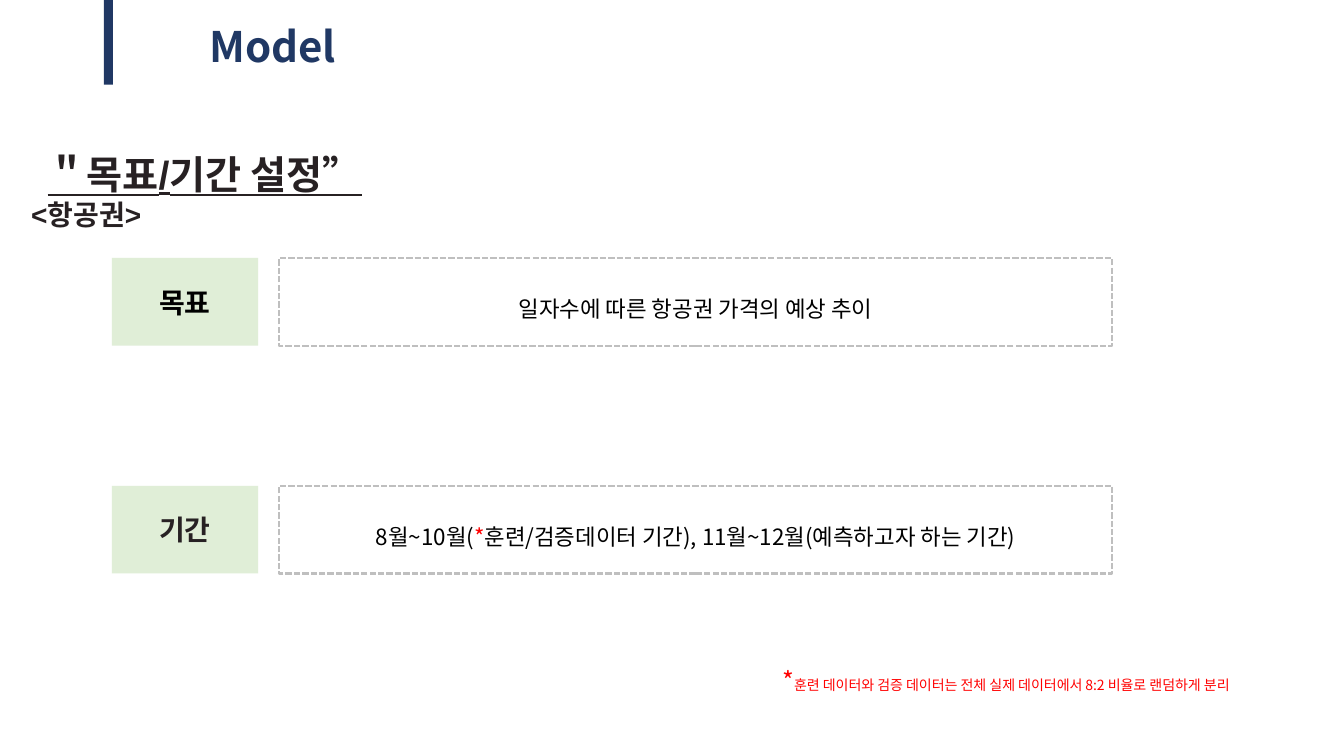
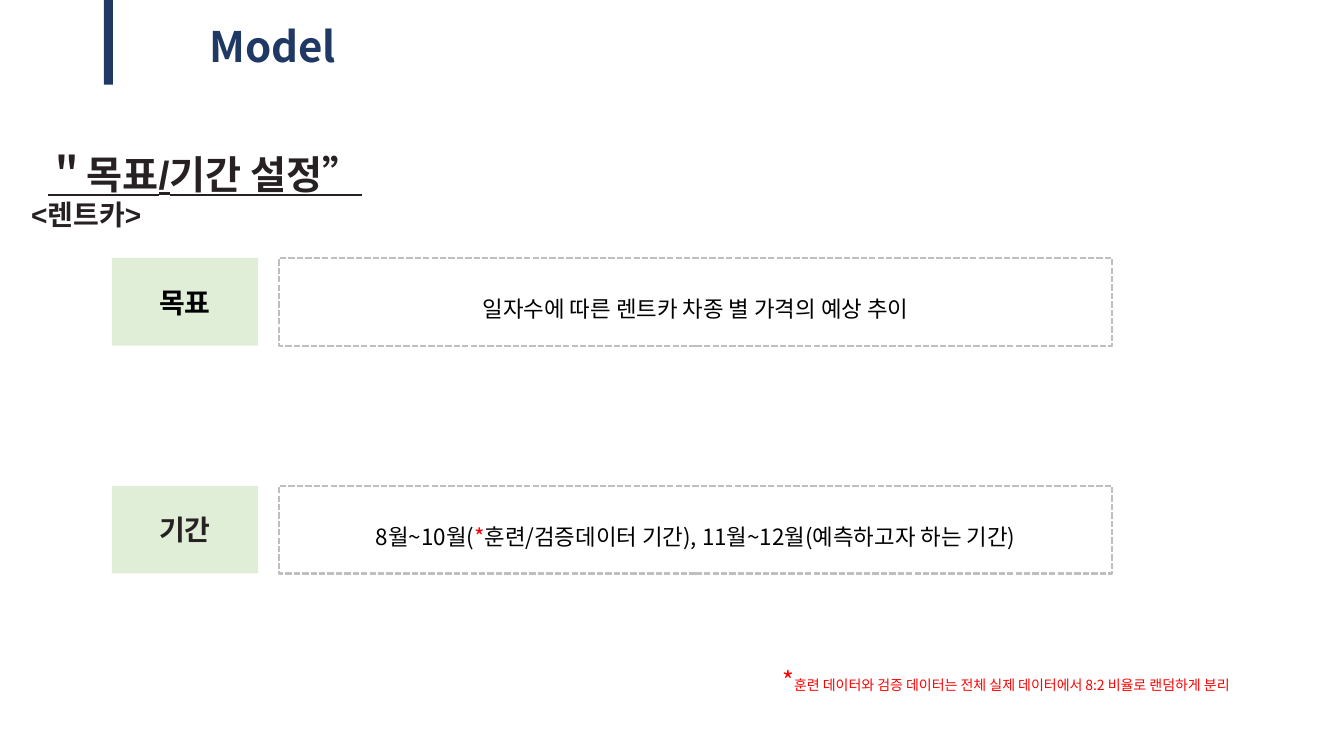
from lxml import etree
from pptx import Presentation
from pptx.dml.color import RGBColor
from pptx.enum.dml import MSO_LINE
from pptx.enum.shapes import MSO_SHAPE
from pptx.enum.text import MSO_ANCHOR, MSO_AUTO_SIZE, PP_ALIGN
from pptx.oxml import parse_xml
from pptx.oxml.ns import nsdecls, qn
from pptx.util import Inches, Pt

RECTANGLE = MSO_SHAPE.RECTANGLE
SHORT_DASH = MSO_LINE.SQUARE_DOT
MIDDLE = MSO_ANCHOR.MIDDLE
GROW = MSO_AUTO_SIZE.SHAPE_TO_FIT_TEXT
LEFT, CENTER = PP_ALIGN.LEFT, PP_ALIGN.CENTER

NAVY = RGBColor(0x20, 0x38, 0x64)
GREEN = RGBColor(0xC5, 0xE0, 0xB4)
GRAY = RGBColor(0xBF, 0xBF, 0xBF)
CHARCOAL = RGBColor(0x27, 0x21, 0x23)
BLACK = RGBColor(0, 0, 0)
RED = RGBColor(0xFF, 0, 0)
KOREAN_FONT = "Noto Sans CJK KR"
HEADING_FONT = "Arial"

ROW_TOPS = (2.56, 4.82)
ROW_HEIGHT = 0.87
PERIOD = (
    ("8월~10월(", BLACK),
    ("*", RED),
    ("훈련/검증데이터 기간), 11월~12월(예측하고자 하는 기간)", BLACK),
)
FOOTNOTE = "훈련 데이터와 검증 데이터는 전체 실제 데이터에서 8:2 비율로 랜덤하게 분리"
TOPICS = (
    ("항공권", "일자수에 따른 항공권 가격의 예상 추이"),
    ("렌트카", "일자수에 따른 렌트카 차종 별 가격의 예상 추이"),
)


def add_span(para, text, size, color, font=KOREAN_FONT, bold=False, underline=False):
    span = para.add_run()
    span.text = text
    span.font.size = Pt(size)
    span.font.bold = bold
    span.font.underline = underline
    span.font.color.rgb = color
    span.font.name = font
    east_asian = etree.Element(qn("a:ea"), typeface=KOREAN_FONT)
    span.font._element.find(qn("a:latin")).addnext(east_asian)
    return span


def add_outlined_span(para, text, size, underline=False):
    span = add_span(para, text, size, CHARCOAL, HEADING_FONT, True, underline)
    outline = parse_xml(
        f'<a:ln {nsdecls("a")} w="9525"><a:solidFill><a:srgbClr val="D9D9D9">'
        '<a:alpha val="30000"/></a:srgbClr></a:solidFill></a:ln>'
    )
    span.font._element.insert(0, outline)


def add_text_box(page, left, top, width, height, align=LEFT):
    """Add a growing text box and return its first paragraph and frame."""
    box = page.shapes.add_textbox(
        Inches(left), Inches(top), Inches(width), Inches(height)
    )
    frame = box.text_frame
    frame.word_wrap = True
    frame.auto_size = GROW
    para = frame.paragraphs[0]
    para.alignment = align
    return para, frame


def add_rectangle(page, left, top, width, height, fill=None):
    box = page.shapes.add_shape(
        RECTANGLE, Inches(left), Inches(top), Inches(width), Inches(height)
    )
    box.shadow.inherit = False
    box.line.fill.background()
    if fill is None:
        box.fill.background()
    else:
        box.fill.solid()
        box.fill.fore_color.rgb = fill
    return box


def center_text(box):
    """Set the row margins and return the centred first paragraph."""
    frame = box.text_frame
    frame.word_wrap = True
    frame.vertical_anchor = MIDDLE
    frame.margin_left = frame.margin_right = Inches(0.13)
    frame.margin_top = frame.margin_bottom = Inches(0.06)
    para = frame.paragraphs[0]
    para.alignment = CENTER
    return para


def add_label(page, top):
    box = add_rectangle(page, 1.11, top, 1.45, ROW_HEIGHT, GREEN)
    color = box.fill._xPr.find(".//" + qn("a:srgbClr"))
    etree.SubElement(color, qn("a:alpha"), val="53000")
    return center_text(box)


def add_detail(page, top, parts):
    box = add_rectangle(page, 2.77, top, 8.26, ROW_HEIGHT)
    box.line.color.rgb = GRAY
    box.line.width = Pt(1.5)
    box.line.dash_style = SHORT_DASH
    para = center_text(box)
    para.line_spacing = 1.5
    for text, color in parts:
        add_span(para, text, 16, color)


def add_title(page):
    add_rectangle(page, 1.03, 0, 0.09, 0.84, NAVY)
    para, _ = add_text_box(page, 1.87, 0.15, 1.67, 0.61, CENTER)
    add_span(para, "Model", 30, NAVY, bold=True)


def add_heading(page, topic):
    para, frame = add_text_box(page, 0.21, 1.44, 3.64, 0.91, CENTER)
    add_outlined_span(para, "＂목표/기간 설정”", 28, underline=True)
    add_outlined_span(frame.add_paragraph(), f"<{topic}>", 20)


def add_footnote(page):
    para, _ = add_text_box(page, 7.66, 6.55, 5.22, 0.4)
    add_span(para, "*", 18, RED)
    add_span(para, FOOTNOTE, 10, RED)


def add_topic_page(deck, topic, goal):
    page = deck.slides.add_slide(deck.slide_layouts[6])
    goal_top, period_top = ROW_TOPS
    add_title(page)
    add_span(add_label(page, goal_top), "목표", 20, BLACK, bold=True)
    add_detail(page, goal_top, [(goal, BLACK)])
    add_outlined_span(add_label(page, period_top), "기간", 20)
    add_detail(page, period_top, PERIOD)
    add_footnote(page)
    add_heading(page, topic)


def main():
    deck = Presentation()
    deck.slide_width = Inches(13.33)
    deck.slide_height = Inches(7.5)
    for topic, goal in TOPICS:
        add_topic_page(deck, topic, goal)
    deck.save("out.pptx")


if __name__ == "__main__":
    main()
